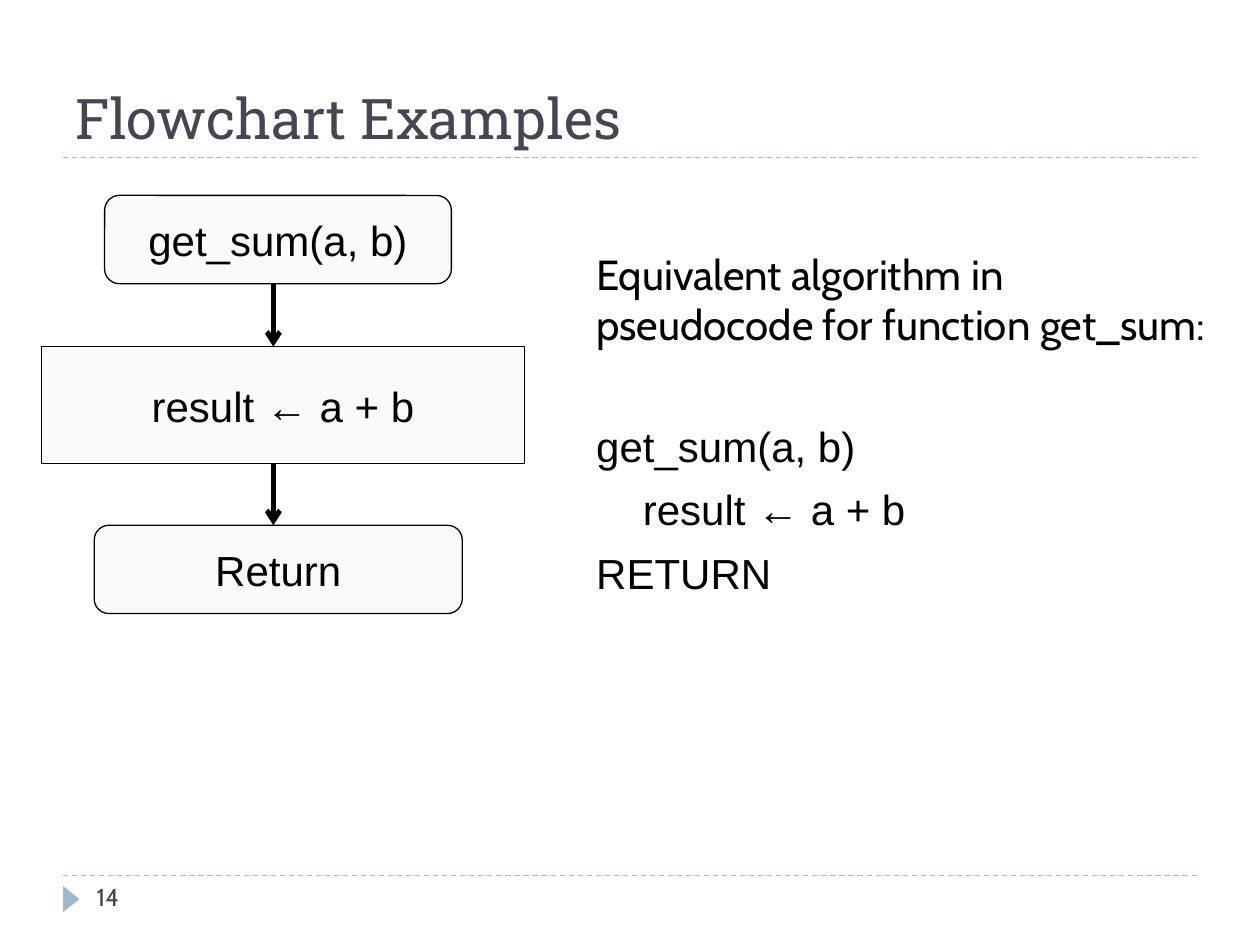
from typing import NamedTuple

from pptx import Presentation
from pptx import util as u
from pptx.dml.color import RGBColor
from pptx.enum import dml, shapes, text
from pptx.oxml import ns
from pptx.oxml.xmlchemy import OxmlElement

BLACK, SLATE, BLUE, PALE = "000000", "464653", "9FB8CD", "FAFAFC"
KIND = shapes.MSO_SHAPE


class Step(NamedTuple):
    kind: int
    left: float
    top: float
    width: float
    height: float
    label: str


class Line(NamedTuple):
    left: float
    top: float
    right: float
    end: float
    color: str
    weight: float
    arrow: bool


class Row(NamedTuple):
    label: str
    font: str
    size: float
    color: str = BLACK
    space: float = 0
    indent: float = 0


STEPS = [
    Step(KIND.ROUNDED_RECTANGLE, 2.11, 3.94, 6.99, 1.78, "get_sum(a, b)"),
    Step(KIND.FLOWCHART_PROCESS, 0.84, 6.99, 9.73, 2.36, "result ← a + b"),
    Step(KIND.ROUNDED_RECTANGLE, 1.9, 10.59, 7.42, 1.78, "Return"),
]
RULES = [Line(1.27, y, 24.13, y, BLUE, 0.75, False) for y in (17.65, 3.18)]
ARROWS = [
    Line(5.51, a.top + a.height, 5.51, b.top, BLACK, 2.75, True)
    for a, b in zip(STEPS, STEPS[1:])
]
CODE = [
    Row("Equivalent algorithm in pseudocode for function get_sum:", "Cabin", 24),
    Row("get_sum(a, b)", "Arial", 24, space=41),
    Row("result ← a + b", "Arial", 24, space=7.3, indent=0.94),
    Row("RETURN", "Arial", 24, space=7.3),
]


def tint(code: str) -> RGBColor:
    return RGBColor.from_string(code)


def write(frame, rows: list[Row], align=text.PP_ALIGN.LEFT) -> None:
    for i, row in enumerate(rows):
        para = frame.add_paragraph() if i else frame.paragraphs[0]
        para.alignment = align
        if row.space:
            para.space_before = u.Pt(row.space)
        if row.indent:
            para._p.get_or_add_pPr().set("marL", str(u.Cm(row.indent)))
        run = para.add_run()
        run.text = row.label
        run.font.name = row.font
        run.font.size = u.Pt(row.size)
        run.font.color.rgb = tint(row.color)


def add_text(slide, left: float, top: float, width: float, height: float,
             rows: list[Row], anchor=text.MSO_ANCHOR.TOP,
             inset: float = 0.25) -> None:
    box = slide.shapes.add_textbox(*map(u.Cm, (left, top, width, height)))
    frame = box.text_frame
    frame.word_wrap = True
    frame.vertical_anchor = anchor
    frame.margin_left = u.Cm(inset)
    write(frame, rows)


def add_line(slide, line: Line) -> None:
    ends = map(u.Cm, (line.left, line.top, line.right, line.end))
    link = slide.shapes.add_connector(shapes.MSO_CONNECTOR.STRAIGHT, *ends)
    link.line.color.rgb = tint(line.color)
    link.line.width = u.Pt(line.weight)
    props = link._element.spPr
    if line.arrow:
        tail = OxmlElement("a:tailEnd")
        tail.set("type", "arrow")
        props.find(ns.qn("a:ln")).append(tail)
    else:
        link.line.dash_style = dml.MSO_LINE.DASH
    props.append(OxmlElement("a:effectLst"))


def add_step(slide, step: Step) -> None:
    place = map(u.Cm, (step.left, step.top, step.width, step.height))
    box = slide.shapes.add_shape(step.kind, *place)
    box.shadow.inherit = False
    box.fill.solid()
    box.fill.fore_color.rgb = tint(PALE)
    box.line.color.rgb = tint(BLACK)
    box.line.width = u.Pt(0.75)
    frame = box.text_frame
    frame.word_wrap = False
    frame.vertical_anchor = text.MSO_ANCHOR.MIDDLE
    write(frame, [Row(step.label, "Arial", 24)], text.PP_ALIGN.CENTER)


def add_mark(slide) -> None:
    place = map(u.Cm, (1.17, 17.96, 0.53, 0.33))
    mark = slide.shapes.add_shape(KIND.ISOSCELES_TRIANGLE, *place)
    mark.rotation = 90
    mark.shadow.inherit = False
    mark.fill.solid()
    mark.fill.fore_color.rgb = tint(BLUE)
    mark.line.fill.background()


def main() -> None:
    deck = Presentation()
    deck.slide_width, deck.slide_height = u.Cm(25.4), u.Cm(19.05)
    slide = deck.slides.add_slide(deck.slide_layouts[6])
    for rule in RULES:
        add_line(slide, rule)
    add_mark(slide)
    add_text(slide, 1.27, 0.43, 22.86, 2.74,
             [Row("Flowchart Examples", "Roboto Slab", 32, SLATE)],
             text.MSO_ANCHOR.BOTTOM)
    add_text(slide, 11, 4.88, 13.77, 13.13, CODE, inset=1.02)
    for arrow in ARROWS:
        add_line(slide, arrow)
    for step in STEPS:
        add_step(slide, step)
    add_text(slide, 1.7, 17.65, 5.51, 1.02, [Row("14", "Cabin", 14, SLATE)])
    deck.save("out.pptx")


if __name__ == "__main__":
    main()
